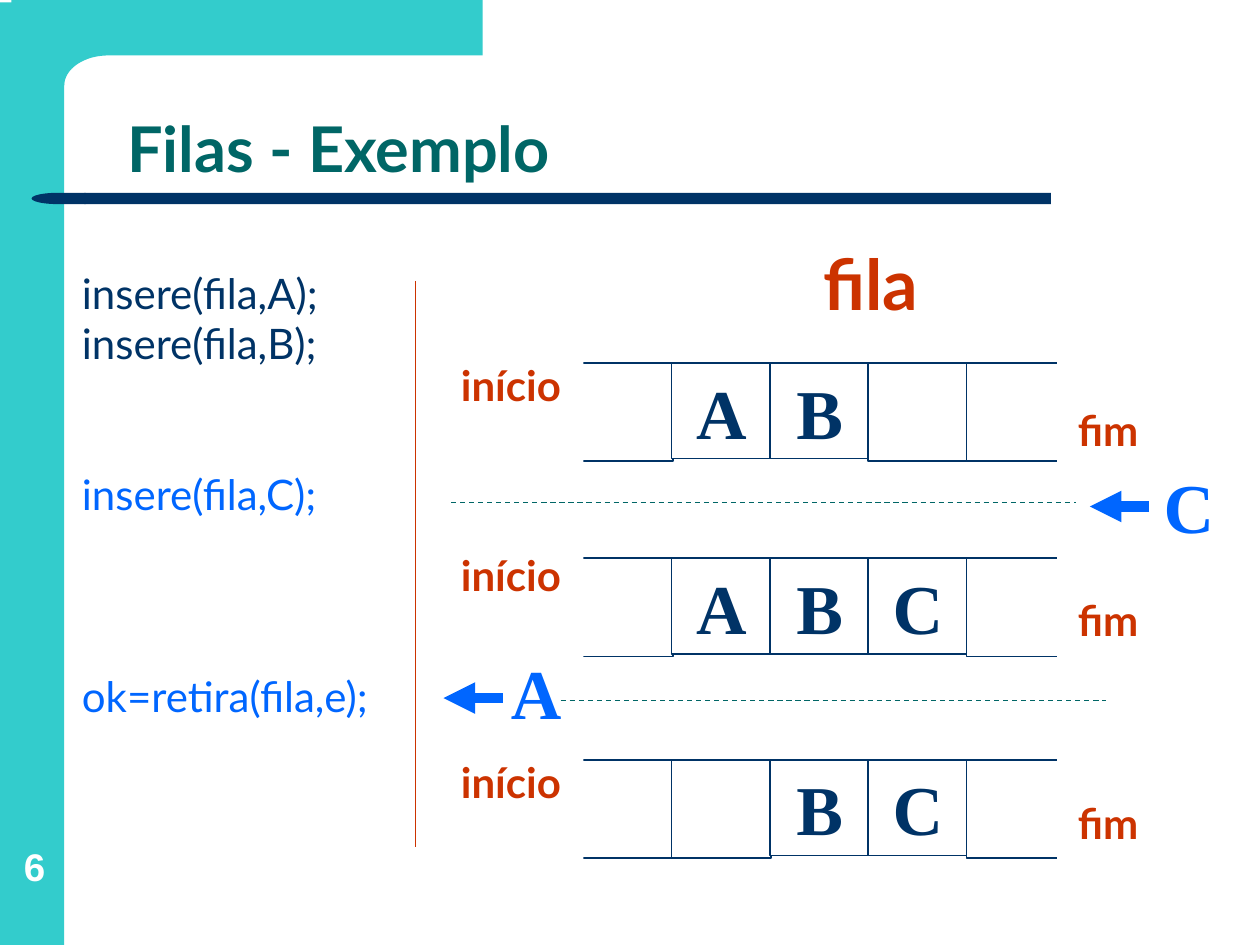
from dataclasses import dataclass
from math import cos, pi, sin

from lxml import etree
from pptx import Presentation
from pptx.dml.color import RGBColor
from pptx.enum.dml import MSO_LINE
from pptx.enum.shapes import MSO_CONNECTOR, MSO_SHAPE
from pptx.enum.text import MSO_ANCHOR, MSO_AUTO_SIZE, PP_ALIGN
from pptx.oxml.ns import qn
from pptx.util import Inches, Pt

RECT = MSO_SHAPE.RECTANGLE
DELAY = MSO_SHAPE.FLOWCHART_DELAY
STRAIGHT = MSO_CONNECTOR.STRAIGHT
DASH = MSO_LINE.DASH
LEFT, CENTER = PP_ALIGN.LEFT, PP_ALIGN.CENTER
TOP, BOTTOM = MSO_ANCHOR.TOP, MSO_ANCHOR.BOTTOM
NO_FIT = MSO_AUTO_SIZE.NONE

WHITE = RGBColor(0xFF, 0xFF, 0xFF)
AQUA = RGBColor(0x33, 0xCC, 0xCC)
NAVY = RGBColor(0x00, 0x33, 0x66)
TEAL = RGBColor(0x00, 0x66, 0x66)
BLUE = RGBColor(0x00, 0x66, 0xFF)
RED = RGBColor(0xCC, 0x33, 0x00)

LATO, TIMES, ARIAL = "Lato", "Times New Roman", "Arial"
PITCH = 0.78  # step from cell to cell
ROW = 28.8  # height of one code line, in points


@dataclass
class Font:
    name: str
    size: float
    color: RGBColor
    bold: bool = True


@dataclass
class Queue:
    top: float
    cells: str
    start: float
    end: float


@dataclass
class Rule:
    begin: tuple[float, float]
    stop: tuple[float, float]
    color: RGBColor
    width: float = 0.75
    dash: bool = False
    arrow: bool = False


@dataclass
class Code:
    text: str
    color: RGBColor
    gap: int = 0


QUEUES = [
    Queue(2.88, " AB  ", 2.88, 3.24),
    Queue(4.43, " ABC ", 4.39, 4.75),
    Queue(6.03, "  BC ", 6.03, 6.36),
]
RULES = [
    Rule((4.45, 5.56), (8.78, 5.56), TEAL, dash=True),
    Rule((3.58, 3.99), (8.54, 3.99), TEAL, dash=True),
    Rule((3.99, 5.54), (3.52, 5.54), BLUE, 6, arrow=True),
    Rule((9.12, 4.02), (8.65, 4.02), BLUE, 6, arrow=True),
    Rule((3.3, 2.23), (3.3, 6.72), RED),
]
CODES = [
    Code("insere(fila,A);", NAVY),
    Code("insere(fila,B);", NAVY),
    Code("insere(fila,C);", BLUE, 2),
    Code("ok=retira(fila,e);", BLUE, 3),
]


def style(para, font: Font, align=CENTER) -> None:
    para.alignment = align
    for run in para.runs:
        run.font.name = font.name
        run.font.size = Pt(font.size)
        run.font.bold = font.bold
        run.font.color.rgb = font.color


def add_box(shapes, x: float, y: float, w: float, h: float,
            fill: RGBColor = WHITE, line: RGBColor | None = None, kind=RECT):
    box = shapes.add_shape(kind, Inches(x), Inches(y), Inches(w), Inches(h))
    box.shadow.inherit = False
    box.fill.solid()
    box.fill.fore_color.rgb = fill
    if line is None:
        box.line.fill.background()
    else:
        box.line.color.rgb = line
        box.line.width = Pt(1)
    return box


def add_text(shapes, text: str, x: float, y: float, w: float, h: float,
             font: Font):
    box = shapes.add_textbox(Inches(x), Inches(y), Inches(w), Inches(h))
    frame = box.text_frame
    frame.word_wrap = True
    frame.text = text
    style(frame.paragraphs[0], font)
    return frame


def add_tag(shapes, text: str, x: float, y: float) -> None:
    frame = add_text(shapes, text, x, y, 1.65, 0.63, Font(LATO, 24, RED))
    para = frame.paragraphs[0]
    para.line_spacing = 0.8
    para.space_before = para.space_after = Pt(6)


def add_rule(shapes, rule: Rule) -> None:
    ends = [Inches(v) for v in rule.begin + rule.stop]
    link = shapes.add_connector(STRAIGHT, *ends)
    link.line.color.rgb = rule.color
    link.line.width = Pt(rule.width)
    if rule.dash:
        link.line.dash_style = DASH
    if rule.arrow:
        tip = etree.SubElement(link.line._get_or_add_ln(), qn("a:tailEnd"))
        tip.set("type", "triangle")
    etree.SubElement(link._element.spPr, qn("a:effectLst"))


def add_queue(shapes, queue: Queue) -> None:
    group = shapes.add_group_shape().shapes
    for i, mark in enumerate(queue.cells):
        full = mark != " "
        cell = add_box(group, 4.55 + i * PITCH, queue.top, 0.79,
                       0.76 if full else 0.78, line=NAVY)
        if full:
            frame = cell.text_frame
            frame.vertical_anchor = TOP
            frame.text = mark
            style(frame.paragraphs[0], Font(TIMES, 40, NAVY))
    # White strips leave both ends of the queue open
    add_box(group, 4.39, queue.top - 0.15, 0.24, 1.02)
    add_box(group, 8.39, queue.top - 0.07, 0.24, 1.02)
    add_tag(shapes, "início", 3.23, queue.start)
    add_tag(shapes, "fim", 7.97, queue.end)


def add_frame(shapes) -> None:
    add_box(shapes, 0, 0.02, 0.51, 7.5, AQUA)
    # Top band with a rounded inner corner
    turns = [pi / 2 * i / 16 for i in range(17)]
    curve = [(0.86 - 0.35 * sin(t), 0.68 - 0.24 * cos(t)) for t in turns]
    points = [(3.83, 0.44), *curve, (0.09, 0.68), (0.09, 0)]
    path = shapes.build_freeform(Inches(3.83), 0)
    path.add_line_segments([(Inches(x), Inches(y)) for x, y in points])
    band = path.convert_to_shape()
    band.shadow.inherit = False
    band.fill.solid()
    band.fill.fore_color.rgb = AQUA
    band.line.fill.background()
    # Bar under the title
    add_box(shapes, 0.67, 1.53, 7.67, 0.09, NAVY)
    add_box(shapes, 0.25, 1.53, 0.43, 0.09, NAVY, kind=DELAY).rotation = 180


def add_title(title) -> None:
    title.left, title.top = Inches(0.91), Inches(0.44)
    title.width, title.height = Inches(8.51), Inches(1.09)
    frame = title.text_frame
    frame.text = "Filas - Exemplo"
    frame.auto_size = NO_FIT
    frame.vertical_anchor = BOTTOM
    frame.paragraphs[0].line_spacing = 0.9
    style(frame.paragraphs[0], Font(LATO, 36, TEAL), LEFT)


def add_codes(shapes) -> None:
    frame = add_text(shapes, "", 0.65, 2.12, 2.52, 3.6, Font(LATO, 24, NAVY))
    frame.margin_left = frame.margin_right = 0
    frame.margin_top = frame.margin_bottom = 0
    for i, code in enumerate(CODES):
        para = frame.add_paragraph() if i else frame.paragraphs[0]
        para.text = code.text
        para.space_before = Pt(code.gap * ROW)
        style(para, Font(LATO, 24, code.color, False), LEFT)


def main() -> None:
    deck = Presentation()
    deck.slide_width, deck.slide_height = Inches(10), Inches(7.5)
    slide = deck.slides.add_slide(deck.slide_layouts[5])
    shapes = slide.shapes
    add_frame(shapes)
    add_title(shapes.title)

    # Page number
    page = add_text(shapes, "6", 0.03, 6.52, 0.49, 0.54, Font(ARIAL, 22, WHITE))
    page.margin_left = page.margin_right = 0
    page.margin_top = page.margin_bottom = 0
    page.vertical_anchor = BOTTOM

    # Queue states, then the moving items
    for queue in QUEUES:
        add_queue(shapes, queue)
    add_text(shapes, "A", 3.86, 5.11, 0.79, 0.76, Font(TIMES, 40, BLUE))
    add_text(shapes, "C", 9.04, 3.63, 0.79, 0.76, Font(TIMES, 40, BLUE))
    add_text(shapes, "fila", 6.24, 1.86, 1.34, 0.76, Font(LATO, 40, RED))
    add_codes(shapes)
    for rule in RULES:
        add_rule(shapes, rule)
    deck.save("out.pptx")


if __name__ == "__main__":
    main()
